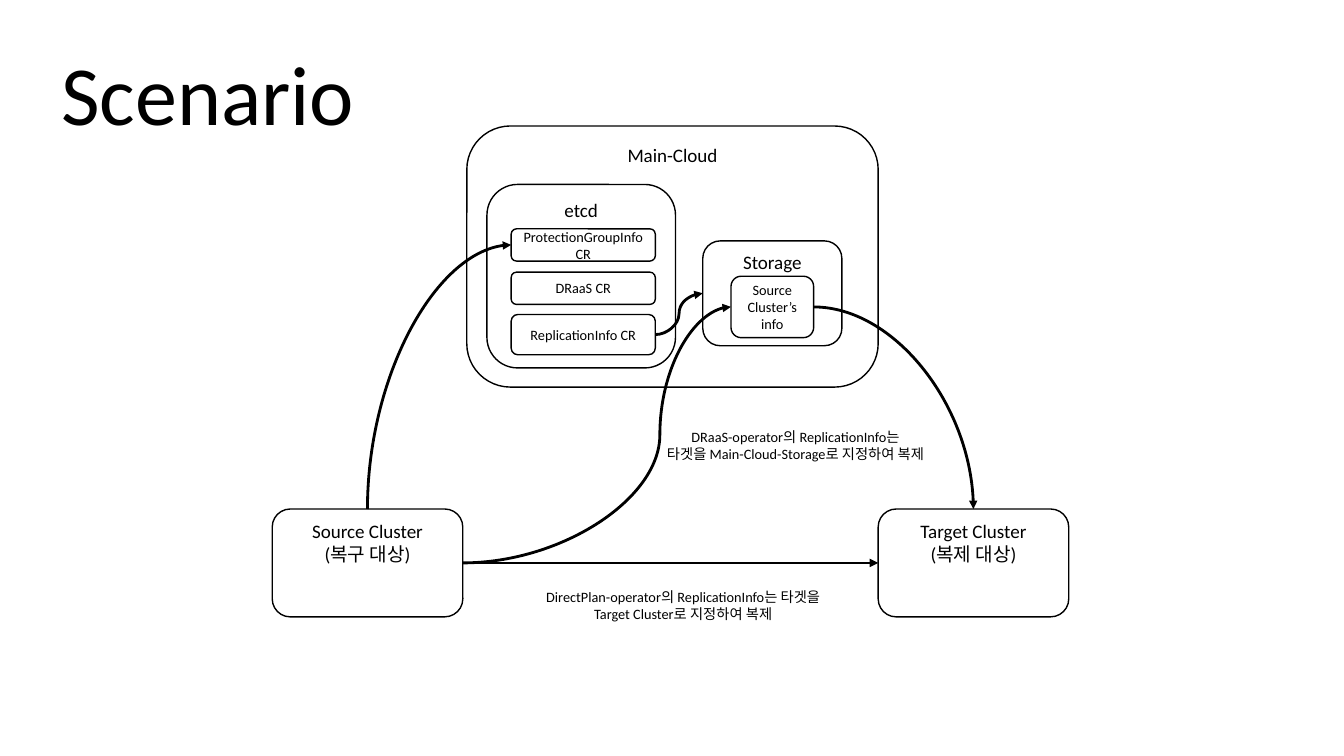
import pptx
import pptx.util
import pptx.dml.color
import pptx.enum.shapes
import pptx.enum.text
import pptx.oxml
import pptx.oxml.ns

Inches, Pt = pptx.util.Inches, pptx.util.Pt
ALIGN = pptx.enum.text.PP_ALIGN
ANCHOR = pptx.enum.text.MSO_ANCHOR
CONNECTOR = pptx.enum.shapes.MSO_CONNECTOR
BLACK = pptx.dml.color.RGBColor(0x00, 0x00, 0x00)
WHITE = pptx.dml.color.RGBColor(0xFF, 0xFF, 0xFF)
FONT = "Calibri"
TITLE_SIZE, LABEL_SIZE, SMALL_SIZE = 60, 13.6, 10.2

# Content: boxes from back to front
CLUSTER_TOP, CLUSTER_SIZE = 5.05, (1.89, 1.07)
RECORD_LEFT, RECORD_WIDTH = 5.07, 1.43
CONTAINERS = {
    "source": ("Source Cluster\n(복구 대상)", (2.7, CLUSTER_TOP, *CLUSTER_SIZE)),
    "target": ("Target Cluster\n(복제 대상)", (8.71, CLUSTER_TOP, *CLUSTER_SIZE)),
    "cloud": ("Main-Cloud", (4.63, 1.25, 4.08, 2.59)),
    "etcd": ("etcd", (4.83, 1.83, 1.87, 1.82)),
    "storage": ("Storage", (6.97, 2.39, 1.38, 1.04)),
}
RECORDS = {
    "info": ("Source Cluster’s info", (7.25, 2.74, 0.82, 0.61)),
    "protection": ("ProtectionGroupInfoCR", (RECORD_LEFT, 2.27, RECORD_WIDTH, 0.32)),
    "draas": ("DRaaS CR", (RECORD_LEFT, 2.7, RECORD_WIDTH, 0.32)),
    "replication": ("ReplicationInfo CR", (RECORD_LEFT, 3.12, RECORD_WIDTH, 0.4)),
}
# Content: captions as text, place, wrapping
CAPTIONS = [
    ("DirectPlan-operator의 ReplicationInfo는 타겟을\nTarget Cluster로 지정하여 복제",
     (5.27, 5.79, 3.01, 0.44), True),
    ("DRaaS-operator의 ReplicationInfo는\n타겟을 Main-Cloud-Storage로 지정하여 복제",
     (6.46, 4.2, 2.86, 0.44), False),
]
# Content: arrows as from, side, to, side, preset, bend position
TOP, LEFT, BOTTOM, RIGHT = range(4)
ARROWS = [
    ("source", TOP, "protection", LEFT, "curvedConnector2", None),
    ("source", RIGHT, "target", LEFT, "line", None),
    ("info", RIGHT, "target", TOP, "curvedConnector2", None),
    ("replication", RIGHT, "storage", LEFT, "curvedConnector3", 0.5),
    ("source", RIGHT, "info", LEFT, "curvedConnector3", 0.735),
]

presentation = pptx.Presentation()
presentation.slide_width, presentation.slide_height = Inches(13.33), Inches(7.5)
slide = presentation.slides.add_slide(presentation.slide_layouts[6])


def write(shape, text, size, alignment=ALIGN.CENTER, anchor=ANCHOR.TOP, wrap=True):
    frame = shape.text_frame
    frame.text = text
    frame.word_wrap = wrap
    frame.vertical_anchor = anchor
    for paragraph in frame.paragraphs:
        paragraph.alignment = alignment
        for run in paragraph.runs:
            run.font.name, run.font.size = FONT, Pt(size)
            run.font.color.rgb = BLACK


def add_box(text, place, size, anchor):
    box = slide.shapes.add_shape(pptx.enum.shapes.MSO_SHAPE.ROUNDED_RECTANGLE,
                                 *map(Inches, place))
    box.shadow.inherit = False
    box.fill.solid()
    box.fill.fore_color.rgb = WHITE
    box.line.color.rgb = BLACK
    box.line.width = Pt(1)
    write(box, text, size, anchor=anchor)
    return box


def add_text(text, place, size, **options):
    write(slide.shapes.add_textbox(*map(Inches, place)), text, size, **options)


def turn_quarter(connector):
    """Make a two-point curve leave upwards instead of sideways."""
    width, height = connector.width, connector.height
    connector.left += (width - height) // 2
    connector.top += (height - width) // 2
    connector.width, connector.height = height, width
    transform = connector._element.spPr.find(pptx.oxml.ns.qn("a:xfrm"))
    for name, value in (("rot", "5400000"), ("flipH", "1"), ("flipV", "1")):
        transform.set(name, value)


def add_arrow(start, start_side, end, end_side, preset, bend):
    kind = CONNECTOR.STRAIGHT if preset == "line" else CONNECTOR.CURVE
    connector = slide.shapes.add_connector(kind, 0, 0, 0, 0)
    connector.begin_connect(boxes[start], start_side)
    connector.end_connect(boxes[end], end_side)
    if start_side == TOP:
        turn_quarter(connector)
    connector.line.color.rgb = BLACK
    connector.line.width = Pt(2)
    properties = connector._element.spPr
    geometry = properties.find(pptx.oxml.ns.qn("a:prstGeom"))
    if bend is not None:
        guide = pptx.oxml.parse_xml(
            f'<a:gd {pptx.oxml.ns.nsdecls("a")} name="adj1" fmla="val {round(bend * 100000)}"/>')
        geometry.find(pptx.oxml.ns.qn("a:avLst")).append(guide)
    geometry.set("prst", preset)
    for parent, tag in ((connector.line._get_or_add_ln(), 'tailEnd type="triangle"'),
                        (properties, "effectLst")):
        name, _, attributes = tag.partition(" ")
        parent.append(pptx.oxml.parse_xml(
            f'<a:{name} {pptx.oxml.ns.nsdecls("a")} {attributes}/>'))


# Title
add_text("Scenario", (0.51, 0.25, 11.5, 1.45), TITLE_SIZE,
         alignment=ALIGN.LEFT, anchor=ANCHOR.MIDDLE)
slide.shapes[0].text_frame.paragraphs[0].line_spacing = 0.9

# Boxes
boxes = {}
for group, size, anchor in ((CONTAINERS, LABEL_SIZE, ANCHOR.TOP),
                            (RECORDS, SMALL_SIZE, ANCHOR.MIDDLE)):
    for name, (text, place) in group.items():
        boxes[name] = add_box(text, place, size, anchor)

# Arrows and captions
for arrow in ARROWS:
    add_arrow(*arrow)
for text, place, wrap in CAPTIONS:
    add_text(text, place, SMALL_SIZE, wrap=wrap)

presentation.save("out.pptx")
